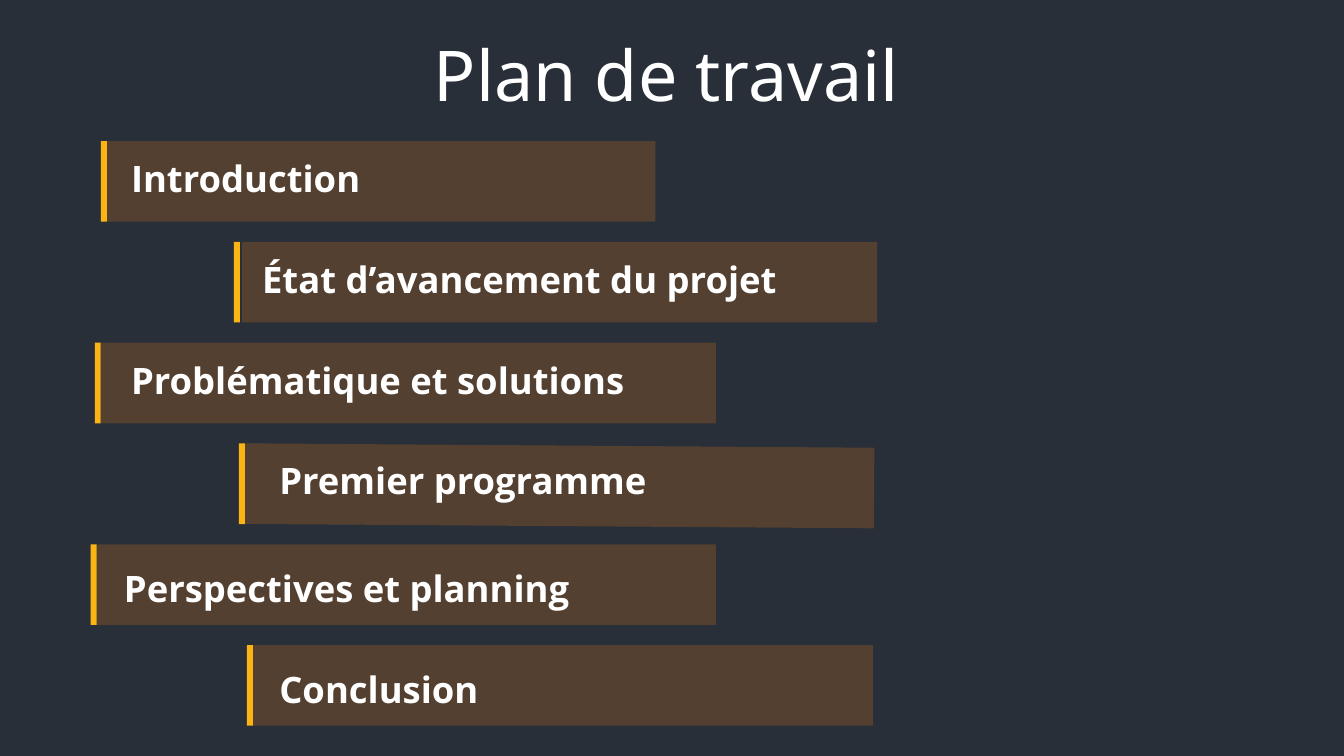
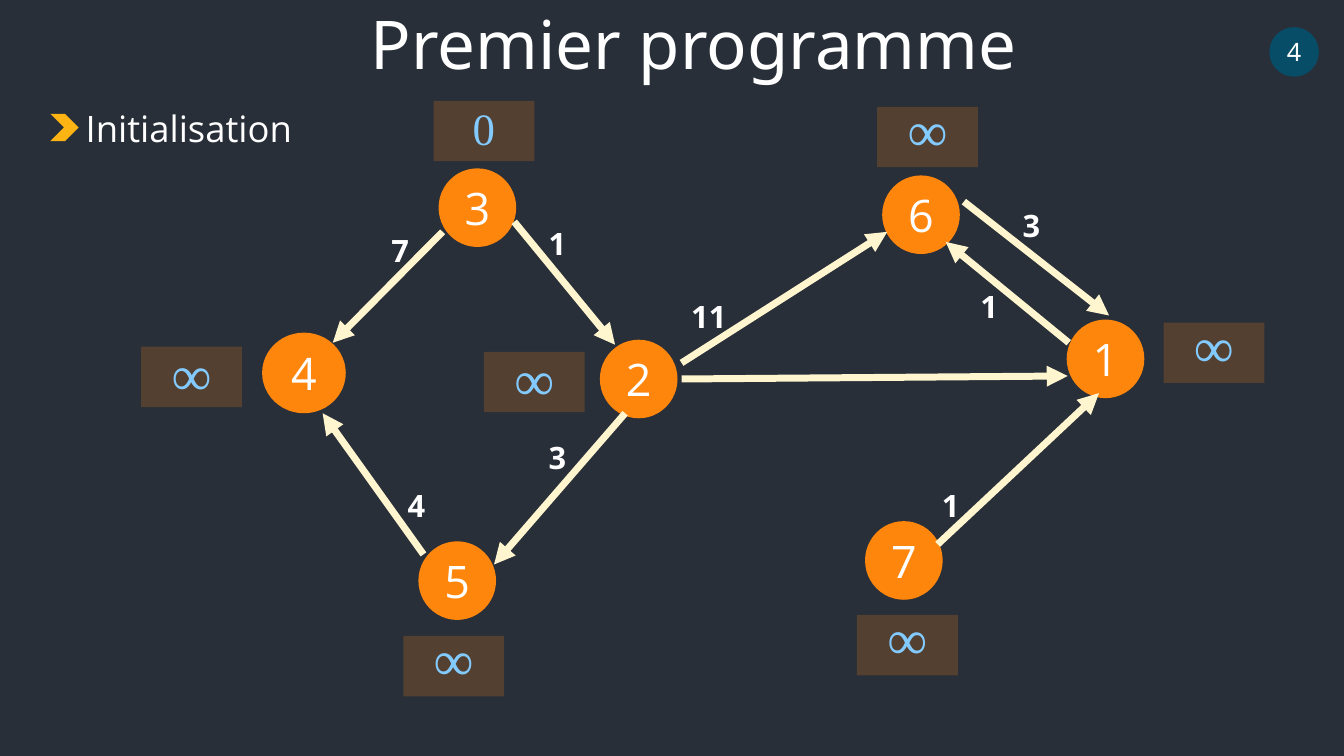
from lxml import etree
from pptx import Presentation
from pptx import util as u
from pptx.dml.color import RGBColor
from pptx.enum import shapes, text
from pptx.oxml import ns

NIGHT = RGBColor(0x28, 0x2F, 0x39)
ORANGE = RGBColor(0xFF, 0x86, 0x0D)
AMBER = RGBColor(0xFC, 0xB4, 0x14)
CREAM = RGBColor(0xFF, 0xF5, 0xCE)
SKY = RGBColor(0x83, 0xCA, 0xFF)
TEAL = RGBColor(0x07, 0x4D, 0x67)
WHITE = RGBColor(0xFF, 0xFF, 0xFF)

TITLE_FONT, BODY_FONT, VALUE_FONT = "Noto Sans", "Open Sans", "Times New Roman"
KIND = shapes.MSO_SHAPE
LEFT, CENTER = text.PP_ALIGN.LEFT, text.PP_ALIGN.CENTER

# The grid: square cells, 13.33 columns by 7.5 rows
CELL = u.Inches(1)
COLUMNS, ROWS = 13.33, 7.5


def add_shape(page, kind, color, *place, opacity=100):
    """Plain filled shape; place is left, top, width, height in cells."""
    shape = page.shapes.add_shape(kind, *(round(n * CELL) for n in place))
    shape.shadow.inherit = False
    shape.fill.solid()
    shape.fill.fore_color.rgb = color
    shape.line.fill.background()
    if opacity < 100:
        tint = shape.fill._xPr.find(".//" + ns.qn("a:srgbClr"))
        etree.SubElement(tint, ns.qn("a:alpha"), val=str(opacity * 1000))
    return shape


def write(box, words, size, font=BODY_FONT, color=WHITE, bold=False,
          align=CENTER, anchor=text.MSO_ANCHOR.MIDDLE, lift=0):
    """One line of text without margins; lift raises it by a share of a cell."""
    frame = box.text_frame
    frame.word_wrap = False
    frame.vertical_anchor = anchor
    frame.margin_left = frame.margin_right = frame.margin_top = 0
    frame.margin_bottom = round(2 * lift * CELL)
    para = frame.paragraphs[0]
    para.text = words
    para.alignment = align
    para.font.size = u.Pt(size)
    para.font.name = font
    para.font.color.rgb = color
    para.font.bold = bold


deck = Presentation()
deck.slide_width = round(COLUMNS * CELL)
deck.slide_height = round(ROWS * CELL)

# Shared by both slides: background and title (words, size, centre, top)
titles = [("Plan de travail", 50, 6.61, 0.31),
          ("Premier programme", 48, 6.88, 0.02)]
TITLE_WIDTH, TITLE_HEIGHT = 10, 0.9
pages = []
for words, size, middle, top in titles:
    page = deck.slides.add_slide(deck.slide_layouts[6])
    page.background.fill.solid()
    page.background.fill.fore_color.rgb = NIGHT
    place = (middle - TITLE_WIDTH / 2, top, TITLE_WIDTH, TITLE_HEIGHT)
    box = page.shapes.add_textbox(*(round(n * CELL) for n in place))
    write(box, words, size, TITLE_FONT, anchor=text.MSO_ANCHOR.TOP)
    pages.append(page)
plan, graph = pages

# Plan: one band a row (words, bar left, band left, band right, text left, text drop)
BAND_HEIGHT, BAR_WIDTH = 0.8, 0.06
steps = [
    ("Introduction", 1, 1.06, 6.5, 1.3, 0.15),
    ("État d’avancement du projet", 2.32, 2.4, 8.7, 2.6, 0.15),
    ("Problématique et solutions", 0.94, 1, 7.1, 1.3, 0.15),
    ("Premier programme", 2.37, 2.43, 8.67, 2.77, 0.15),
    ("Perspectives et planning", 0.9, 0.96, 7.1, 1.23, 0.22),
    ("Conclusion", 2.45, 2.51, 8.66, 2.77, 0.22),
]
for row, (words, bar, left, right, start, drop) in enumerate(steps):
    top = 1.4 + row
    band = add_shape(plan, KIND.RECTANGLE, ORANGE, left, top,
                     right - left, BAND_HEIGHT, opacity=20)
    if words == "Premier programme":
        band.rotation = 0.4
        band.top += round(0.02 * CELL)
    add_shape(plan, KIND.RECTANGLE, AMBER, bar, top, BAR_WIDTH, BAND_HEIGHT)
    place = (start, top + drop, right - start, 0.5)
    box = plan.shapes.add_textbox(*(round(n * CELL) for n in place))
    write(box, words, 26, bold=True, align=LEFT, anchor=text.MSO_ANCHOR.TOP)

# Graph: nodes (name, left, top, width, height)
NODE = (0.77, 0.78)
nodes = [
    ("4", 2.6, 3.3, 0.83, 0.8),
    ("3", 4.35, 1.67, *NODE),
    ("5", 4.15, 5.37, *NODE),
    ("2", 5.95, 3.37, *NODE),
    ("6", 8.75, 1.74, *NODE),
    ("1", 10.58, 3.17, *NODE),
    ("7", 8.58, 5.17, *NODE),
]
for name, *place in nodes:
    write(add_shape(graph, KIND.OVAL, ORANGE, *place), name, 32)

# Arrows between nodes (from x, y, to x, y)
arrows = [
    (4.39, 2.3, 3.3, 3.4),
    (4.2, 5.5, 3.2, 4.1),
    (6.2, 4.1, 4.9, 5.6),
    (5.1, 2.2, 6.1, 3.42),
    (6.76, 3.6, 8.8, 2.3),
    (6.76, 3.76, 10.59, 3.73),
    (9.3, 5.4, 10.9, 3.9),
    (9.56, 2, 11, 3.13),
    (10.6, 3.4, 9.38, 2.4),
]
for ends in arrows:
    arrow = graph.shapes.add_connector(
        shapes.MSO_CONNECTOR.STRAIGHT, *(round(n * CELL) for n in ends))
    arrow.line.color.rgb = CREAM
    arrow.line.width = u.Pt(5)
    etree.SubElement(arrow.line._get_or_add_ln(), ns.qn("a:tailEnd"), type="triangle")
    etree.SubElement(arrow._element.spPr, ns.qn("a:effectLst"))

# Arrow weights (words, centre, top)
WEIGHT_WIDTH, WEIGHT_HEIGHT = 0.6, 0.42
weights = [
    ("7", 3.97, 2.3), ("4", 4.13, 4.83), ("3", 5.53, 4.35), ("1", 5.53, 2.23),
    ("11", 7.03, 2.95), ("1", 9.81, 2.85), ("1", 9.43, 4.83), ("3", 10.23, 2.05),
]
for words, middle, top in weights:
    place = (middle - WEIGHT_WIDTH / 2, top, WEIGHT_WIDTH, WEIGHT_HEIGHT)
    box = graph.shapes.add_textbox(*(round(n * CELL) for n in place))
    write(box, words, 22, bold=True, anchor=text.MSO_ANCHOR.TOP)

# Starting distances (words, size, left, top, lift)
distances = [
    ("∞", 40, 1.4, 3.44, 0.04),
    ("∞", 40, 4, 6.31, 0.08),
    ("∞", 40, 8.5, 6.1, 0.08),
    ("∞", 40, 11.54, 3.2, 0.08),
    ("∞", 40, 8.7, 1.06, 0.08),
    ("0", 32, 4.3, 1, 0.03),
    ("∞", 40, 4.8, 3.49, 0.04),
]
for words, size, left, top, lift in distances:
    tile = add_shape(graph, KIND.RECTANGLE, ORANGE, left, top, 1, 0.6, opacity=20)
    write(tile, words, size, VALUE_FONT, SKY, lift=lift)

# Step heading with its chevron
add_shape(graph, KIND.CHEVRON, AMBER, 0.5, 1.13, 0.28, 0.27)
heading = graph.shapes.add_textbox(*(round(n * CELL) for n in (0.85, 1.05, 2.5, 0.5)))
write(heading, "Initialisation", 26, align=LEFT, anchor=text.MSO_ANCHOR.TOP)

# Page number
badge = add_shape(graph, KIND.OVAL, TEAL, 12.59, 0.27, 0.49, 0.49)
write(badge, "4", 18, TITLE_FONT)

deck.save("out.pptx")
